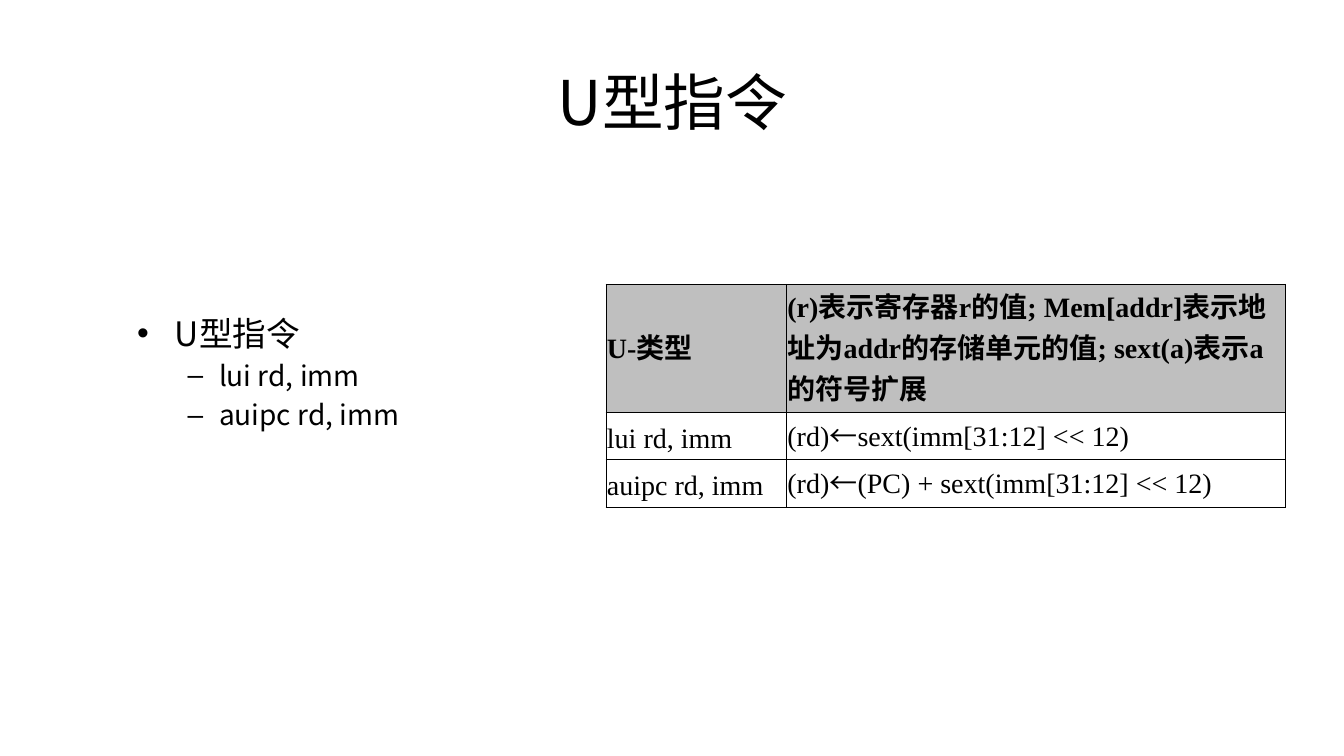
from itertools import groupby

from lxml.etree import SubElement
from pptx import Presentation
from pptx.dml.color import RGBColor
from pptx.enum.text import MSO_ANCHOR
from pptx.oxml.ns import qn
from pptx.util import Inches, Pt

CHINESE_FONT = "Noto Sans CJK SC"
LATIN_FONT = "Times New Roman"


def format_run(run, size, font_name, color="000000", bold=False):
    """Format a run, using the font for both Latin and East Asian text."""
    run.font.size = Pt(size)
    run.font.name = font_name
    run.font.bold = bold
    run.font.color.rgb = RGBColor.from_string(color)
    SubElement(run.font._element, qn("a:ea"), typeface=font_name)


def add_borders(cell, color="000000", width=0.5):
    properties = cell._tc.get_or_add_tcPr()
    for position, side in enumerate(("a:lnL", "a:lnR", "a:lnT", "a:lnB")):
        line = SubElement(properties, qn(side), w=str(Pt(width)))
        SubElement(SubElement(line, qn("a:solidFill")), qn("a:srgbClr"), val=color)
        properties.insert(position, line)


prs = Presentation()
prs.slide_width = Inches(13.33)
prs.slide_height = Inches(7.5)
slide = prs.slides.add_slide(prs.slide_layouts[1])

# Title
title = slide.shapes.title
title.left, title.top = Inches(0.67), Inches(0.52)
title.width, title.height = Inches(12), Inches(0.96)
title.text_frame.text = "U型指令"
format_run(title.text_frame.paragraphs[0].runs[0], 44, CHINESE_FONT)

# Instruction list
instructions = slide.placeholders[1]
instructions.left, instructions.top = Inches(1.26), Inches(3.05)
instructions.width, instructions.height = Inches(3.67), Inches(1.41)
instructions.text_frame.text = "U型指令\nlui rd, imm\nauipc rd, imm"
for index, paragraph in enumerate(instructions.text_frame.paragraphs):
    if index == 0:
        paragraph.space_before = Pt(0)
    else:
        paragraph.level = 1
    format_run(paragraph.runs[0], 20 if index else 24, CHINESE_FONT)

# Meaning of each instruction
meanings = [
    ("U-类型", "(r)表示寄存器r的值; Mem[addr]表示地址为addr的存储单元的值; sext(a)表示a的符号扩展"),
    ("lui rd, imm", "(rd)←sext(imm[31:12] << 12)"),
    ("auipc rd, imm", "(rd)←(PC) + sext(imm[31:12] << 12)"),
]
column_widths = (1.79, 4.95)
row_heights = (1.27, 0.47, 0.47)
table = slide.shapes.add_table(
    len(meanings), len(column_widths), Inches(6.01), Inches(2.82),
    Inches(sum(column_widths)), Inches(sum(row_heights))).table
table.horz_banding = False
table.first_row = False
for column, width in zip(table.columns, column_widths):
    column.width = Inches(width)

for row_index, (row, texts) in enumerate(zip(table.rows, meanings)):
    row.height = Inches(row_heights[row_index])
    is_header = row_index == 0
    for cell, text in zip(row.cells, texts):
        cell.margin_left = cell.margin_right = cell.margin_top = Inches(0.01)
        cell.margin_bottom = Inches(0.05)
        cell.vertical_anchor = MSO_ANCHOR.MIDDLE if is_header else MSO_ANCHOR.BOTTOM
        if is_header:
            cell.fill.solid()
            cell.fill.fore_color.rgb = RGBColor.from_string("BFBFBF")
        else:
            cell.fill.background()
        add_borders(cell)
        paragraph = cell.text_frame.paragraphs[0]
        for is_latin, characters in groupby(text, key=str.isascii):
            run = paragraph.add_run()
            run.text = "".join(characters)
            format_run(run, 20, LATIN_FONT if is_latin else CHINESE_FONT, bold=is_header)

prs.save("out.pptx")
